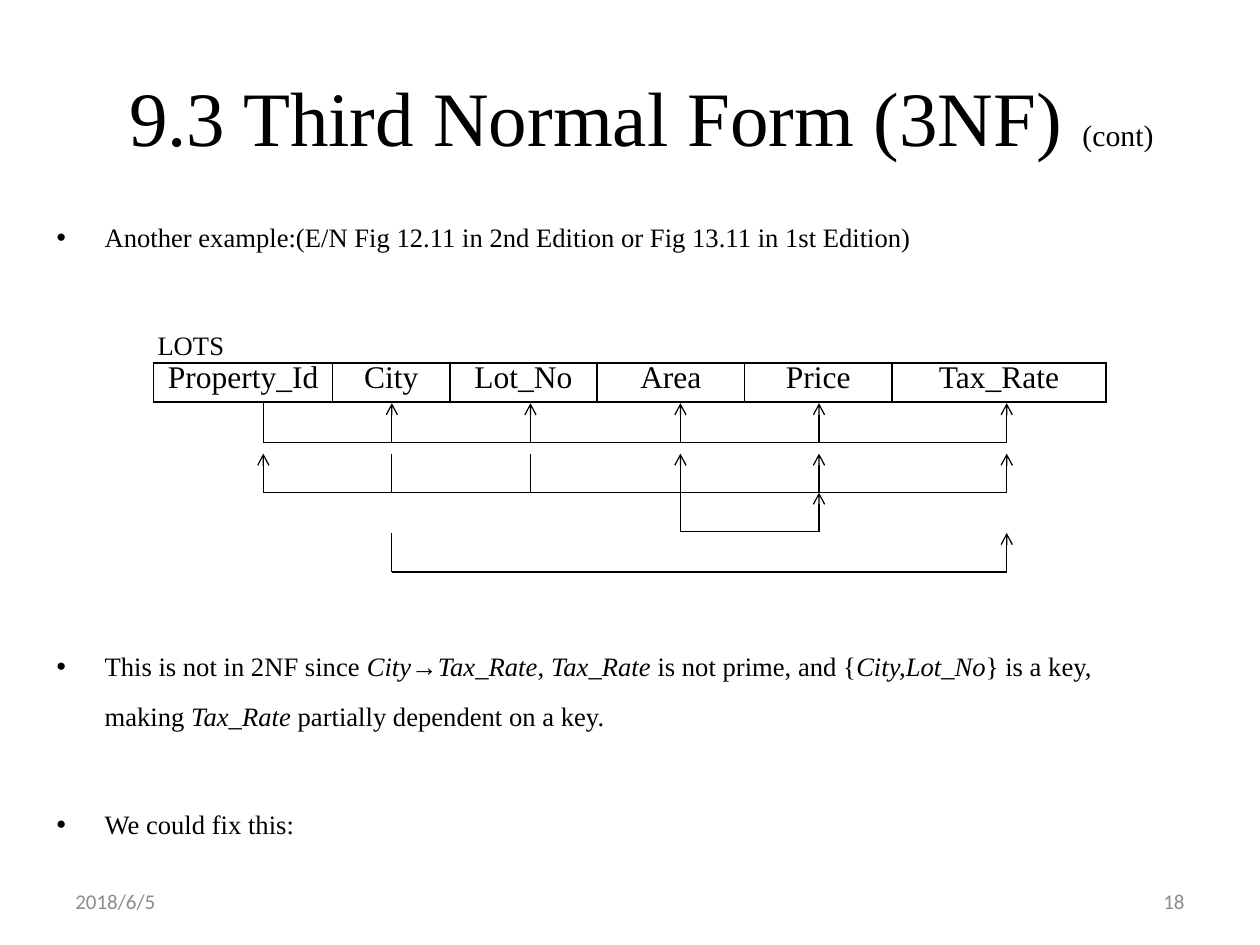
import pptx
import pptx.dml.color
import pptx.enum.shapes
import pptx.enum.text
import pptx.oxml.ns
import pptx.util
from lxml import etree

Inches = pptx.util.Inches
Pt = pptx.util.Pt
ALIGN = pptx.enum.text.PP_ALIGN
MIDDLE = pptx.enum.text.MSO_ANCHOR.MIDDLE
SERIF = "Times New Roman"
COLUMNS = ["Property_Id", "City", "Lot_No", "Area", "Price", "Tax_Rate"]
COLUMN_WIDTHS = [1.42, 0.93, 1.17, 1.17, 1.17, 1.7]
STEM_X = dict(zip(COLUMNS, [0, 1.02, 2.12, 3.31, 4.41, 5.9]))
# Baseline below the top of the diagram, determining and dependent attributes
DEPENDENCIES = [
    (0.31, ["Property_Id"], ["City", "Lot_No", "Area", "Price", "Tax_Rate"]),
    (0.71, ["City", "Lot_No"], ["Property_Id", "Area", "Price", "Tax_Rate"]),
    (1.02, ["Area"], ["Price"]),
    (1.34, ["City"], ["Tax_Rate"]),
]
STEM_HEIGHT = 0.31
# Space before, hanging indent, bulleted, runs as (text, italic)
BODY = [
    (3, 0.38, True, [("Another example:(E/N Fig 12.11 in 2nd Edition or Fig 13.11 in 1st Edition)", False)]),
    (33, 0.8, False, [("LOTS", False)]),
    (155, 0.38, True, [
        ("This is not in 2NF since ", False), ("City→Tax_Rate", True), (", ", False),
        ("Tax_Rate ", True), ("is not prime, and {", False), ("City,Lot_No", True),
        ("} is a key, making ", False), ("Tax_Rate ", True),
        ("partially dependent on a key.", False)]),
    (33, 0.38, True, [("We could fix this:", False)]),
]


def color(hex_string):
    return pptx.dml.color.RGBColor.from_string(hex_string)


def set_font(font, size, name=SERIF, fill="000000"):
    font.size = Pt(size)
    font.name = name
    font.color.rgb = color(fill)


def add_xml(parent, tag, **attributes):
    return etree.SubElement(parent, pptx.oxml.ns.qn(tag), attributes)


def place(shape, left, top, width, height):
    shape.left, shape.top = Inches(left), Inches(top)
    shape.width, shape.height = Inches(width), Inches(height)


def fill_title(title, *box):
    place(title, *box)
    title.text_frame.auto_size = pptx.enum.text.MSO_AUTO_SIZE.NONE
    title.text_frame.vertical_anchor = MIDDLE
    paragraph = title.text_frame.paragraphs[0]
    paragraph.alignment = ALIGN.CENTER
    for text, size in [("9.3 Third Normal Form (3NF) ", 44), ("(cont)", 17)]:
        run = paragraph.add_run()
        run.text = text
        set_font(run.font, size)


def fill_body(body, *box):
    place(body, *box)
    frame = body.text_frame
    frame.auto_size = pptx.enum.text.MSO_AUTO_SIZE.NONE
    for index, (space, indent, bulleted, runs) in enumerate(BODY):
        paragraph = frame.add_paragraph() if index else frame.paragraphs[0]
        paragraph.line_spacing = 1.57
        paragraph.space_before = Pt(space)
        properties = paragraph._p.get_or_add_pPr()
        properties.set("marL", str(Inches(indent)))
        properties.set("indent", str(Inches(-indent if bulleted else 0)))
        if bulleted:
            add_xml(properties, "a:buChar", char="•")
        else:
            add_xml(properties, "a:buNone")
        set_font(paragraph.font, 15.2)
        for text, italic in runs:
            run = paragraph.add_run()
            run.text = text
            if italic:
                run.font.italic = True


def add_cell_borders(cell):
    properties = cell._tc.get_or_add_tcPr()
    for index, side in enumerate(["a:lnL", "a:lnR", "a:lnT", "a:lnB"]):
        line = etree.Element(pptx.oxml.ns.qn(side), {"w": str(Pt(1))})
        add_xml(add_xml(line, "a:solidFill"), "a:srgbClr", val="000000")
        properties.insert(index, line)


def add_schema_table(slide, left, top, width, height):
    table = slide.shapes.add_table(
        1, len(COLUMNS), Inches(left), Inches(top), Inches(width), Inches(height)).table
    table.first_row = table.horz_banding = False
    for index, (name, column_width) in enumerate(zip(COLUMNS, COLUMN_WIDTHS)):
        table.columns[index].width = Inches(column_width)
        cell = table.cell(0, index)
        cell.text = name
        cell.fill.background()
        add_cell_borders(cell)
        paragraph = cell.text_frame.paragraphs[0]
        paragraph.alignment = ALIGN.CENTER
        paragraph.line_spacing = Pt(15)
        set_font(paragraph.font, 18)


def add_line(shapes, start, end, arrow=False):
    connector = shapes.add_connector(
        pptx.enum.shapes.MSO_CONNECTOR.STRAIGHT, *map(Inches, start + end))
    connector.line.width = Pt(0.75)
    connector.line.color.rgb = color("000000")
    if arrow:
        add_xml(connector.line._get_or_add_ln(), "a:tailEnd", type="arrow")
    add_xml(connector._element.spPr, "a:effectLst")


def add_dependencies(slide, left, top):
    """Draw each dependency as a baseline with plain and arrowed stems."""
    shapes = slide.shapes.add_group_shape().shapes
    for offset, determinants, dependents in DEPENDENCIES:
        base = top + offset
        stems = [left + STEM_X[name] for name in determinants + dependents]
        add_line(shapes, (min(stems), base), (max(stems), base))
        for index, x in enumerate(stems):
            add_line(shapes, (x, base), (x, base - STEM_HEIGHT),
                     arrow=index >= len(determinants))


def add_footer(slide, text, alignment, *box):
    frame = slide.shapes.add_textbox(*map(Inches, box)).text_frame
    frame.word_wrap = True
    frame.vertical_anchor = MIDDLE
    paragraph = frame.paragraphs[0]
    paragraph.text = text
    paragraph.alignment = alignment
    set_font(paragraph.font, 12, "Calibri", "8C8C8C")


def main():
    presentation = pptx.Presentation()
    presentation.slide_width, presentation.slide_height = Inches(10), Inches(7.5)
    slide = presentation.slides.add_slide(presentation.slide_layouts[1])
    fill_title(slide.shapes.title, 0.59, 0.29, 9, 1.25)
    fill_body(slide.placeholders[1], 0.35, 1.56, 9, 5.12)
    add_schema_table(slide, 1.22, 2.88, 7.56, 0.31)
    add_dependencies(slide, 2.09, 3.2)
    add_footer(slide, "2018/6/5", ALIGN.LEFT, 0.5, 6.95, 2.33, 0.4)
    add_footer(slide, "18", ALIGN.RIGHT, 7.17, 6.95, 2.33, 0.4)
    presentation.save("out.pptx")


if __name__ == "__main__":
    main()
